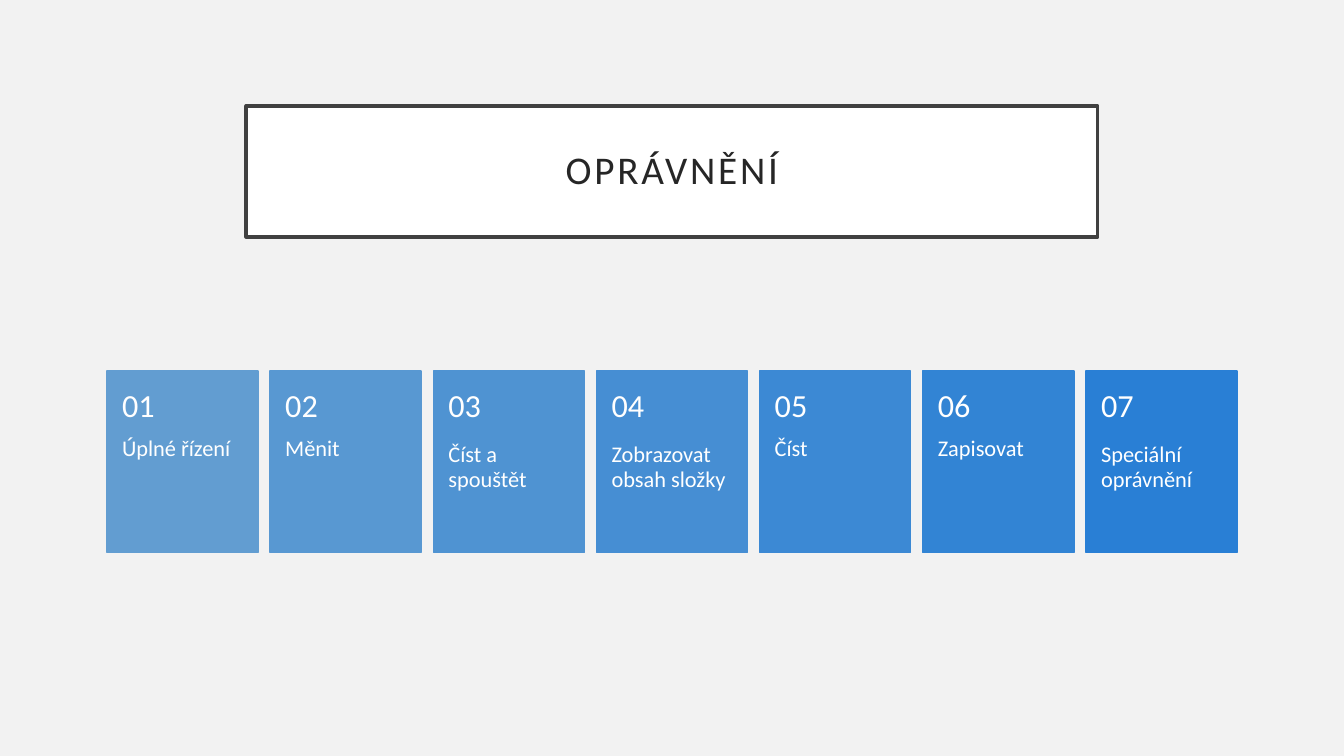
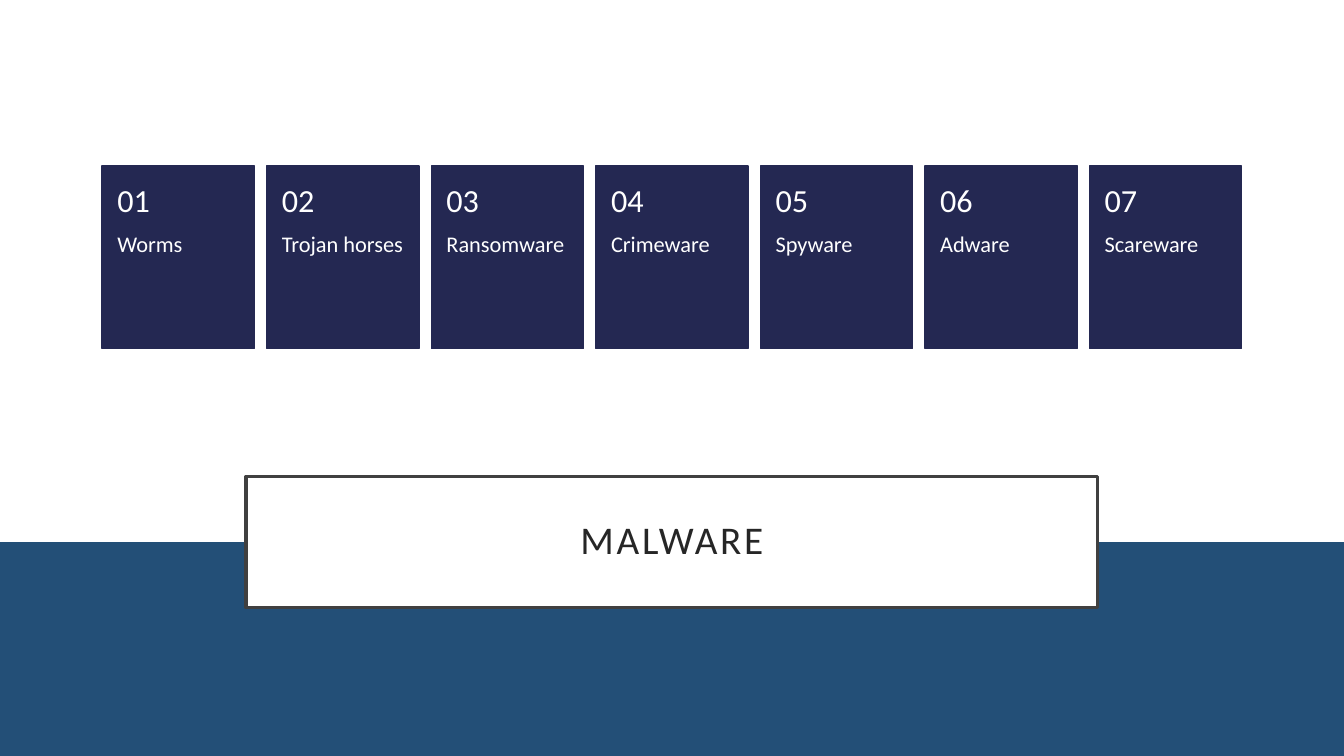
from collections import namedtuple
from dataclasses import dataclass

from pptx import Presentation
from pptx.dml.color import RGBColor
from pptx.enum.shapes import MSO_SHAPE
from pptx.enum.text import MSO_ANCHOR, PP_ALIGN
from pptx.util import Cm, Pt

Box = namedtuple("Box", "left top width height")  # centimetres


@dataclass(frozen=True)
class Theme:
    font: str = "Calibri"
    title_size: float = 28
    number_size: float = 23
    label_size: float = 16
    line_spacing: float = 0.9
    title_tracking: int = 200  # hundredths of a point
    title_line: float = 2.5
    card_line: float = 1
    white: str = "FFFFFF"
    pale: str = "F2F2F2"
    ink: str = "262626"
    frame: str = "404040"
    band: str = "234F77"
    navy: str = "242852"
    sky: str = "629DD1"
    azure: str = "297FD5"


THEME = Theme()
SLIDE = Box(0, 0, 33.87, 19.05)
TITLE_WIDTH, TITLE_HEIGHT = 21.46, 3.3
TITLE_INSET = 0.51
CARD_GAP = 0.08      # share of the card width
CARD_ASPECT = 1.2    # height over width
HEADER_SHARE = 0.4   # share of the card height


def emu(box):
    return [Cm(length) for length in box]


def blend(start, end, share):
    pairs = zip(RGBColor.from_string(start), RGBColor.from_string(end))
    return str(RGBColor(*(round(a + (b - a) * share) for a, b in pairs)))


def add_rectangle(shapes, box, fill, line=None, line_width=0):
    shape = shapes.add_shape(MSO_SHAPE.RECTANGLE, *emu(box))
    shape.shadow.inherit = False
    shape.fill.solid()
    shape.fill.fore_color.rgb = RGBColor.from_string(fill)
    if line:
        shape.line.color.rgb = RGBColor.from_string(line)
        shape.line.width = Pt(line_width)
    else:
        shape.line.fill.background()
    return shape


def write_text(shape, text, size, color, insets, anchor, align=PP_ALIGN.LEFT):
    """Insets are left, top, right and bottom in centimetres."""
    frame = shape.text_frame
    sides = ("margin_left", "margin_top", "margin_right", "margin_bottom")
    frame_format = dict(zip(sides, emu(insets)), word_wrap=True, vertical_anchor=anchor)
    para = frame.paragraphs[0]
    span = para.add_run()
    span.text = text
    formats = (
        (frame, frame_format),
        (para, {"alignment": align, "line_spacing": THEME.line_spacing}),
        (span.font, {"name": THEME.font, "size": Pt(size)}),
    )
    for target, values in formats:
        for name, value in values.items():
            setattr(target, name, value)
    span.font.color.rgb = RGBColor.from_string(color)
    return span


def add_title(page, text, top):
    box = Box((SLIDE.width - TITLE_WIDTH) / 2, top, TITLE_WIDTH, TITLE_HEIGHT)
    shape = add_rectangle(page.shapes, box, THEME.white, THEME.frame, THEME.title_line)
    span = write_text(shape, text, THEME.title_size, THEME.ink,
                      [TITLE_INSET] * 4, MSO_ANCHOR.MIDDLE, PP_ALIGN.CENTER)
    span._r.get_or_add_rPr().set("spc", str(THEME.title_tracking))


def add_card(page, box, number, label, color):
    shapes = page.shapes.add_group_shape().shapes
    add_rectangle(shapes, box, color, color, THEME.card_line)
    header = box._replace(height=box.height * HEADER_SHARE)
    body = box._replace(top=box.top + header.height, height=box.height - header.height)
    side, end = box.width / 10, box.height / 10
    parts = (
        (body, label, THEME.label_size, (side, 0, side, 2 * end), MSO_ANCHOR.TOP),
        (header, f"{number:02}", THEME.number_size, (side, end, side, end), MSO_ANCHOR.MIDDLE),
    )
    for area, text, size, insets, anchor in parts:
        write_text(shapes.add_textbox(*emu(area)), text, size, THEME.white, insets, anchor)


def add_card_row(page, labels, top, width, first_color, last_color):
    """Spread equal cards over a centred row, shading from first to last."""
    count = len(labels)
    card_width = width / (count + (count - 1) * CARD_GAP)
    left = (SLIDE.width - width) / 2
    for index, label in enumerate(labels):
        box = Box(left + index * card_width * (1 + CARD_GAP), top,
                  card_width, card_width * CARD_ASPECT)
        color = blend(first_color, last_color, index / (count - 1))
        add_card(page, box, index + 1, label, color)


def add_page(deck, background):
    page = deck.slides.add_slide(deck.slide_layouts[6])
    page.background.fill.solid()
    page.background.fill.fore_color.rgb = RGBColor.from_string(background)
    return page


def build_permissions(deck):
    page = add_page(deck, THEME.pale)
    add_title(page, "OPRÁVNĚNÍ", 2.67)
    labels = ("Úplné řízení", "Měnit", "Číst a spouštět", "Zobrazovat obsah složky",
              "Číst", "Zapisovat", "Speciální oprávnění")
    add_card_row(page, labels, 9.35, 28.48, THEME.sky, THEME.azure)


def build_malware(deck):
    page = add_page(deck, THEME.white)
    # Lower band, reaching the slide's bottom edge
    band_top = 13.66
    add_rectangle(page.shapes, Box(0, band_top, SLIDE.width, SLIDE.height - band_top), THEME.band)
    # Title straddling the edge of the band
    add_title(page, "MALWARE", band_top - TITLE_HEIGHT / 2)
    labels = ("Worms", "Trojan horses", "Ransomware", "Crimeware",
              "Spyware", "Adware", "Scareware")
    add_card_row(page, labels, 4.18, 28.72, THEME.navy, THEME.navy)


def main():
    deck = Presentation()
    deck.slide_width, deck.slide_height = Cm(SLIDE.width), Cm(SLIDE.height)
    build_permissions(deck)
    build_malware(deck)
    deck.save("out.pptx")


if __name__ == "__main__":
    main()
